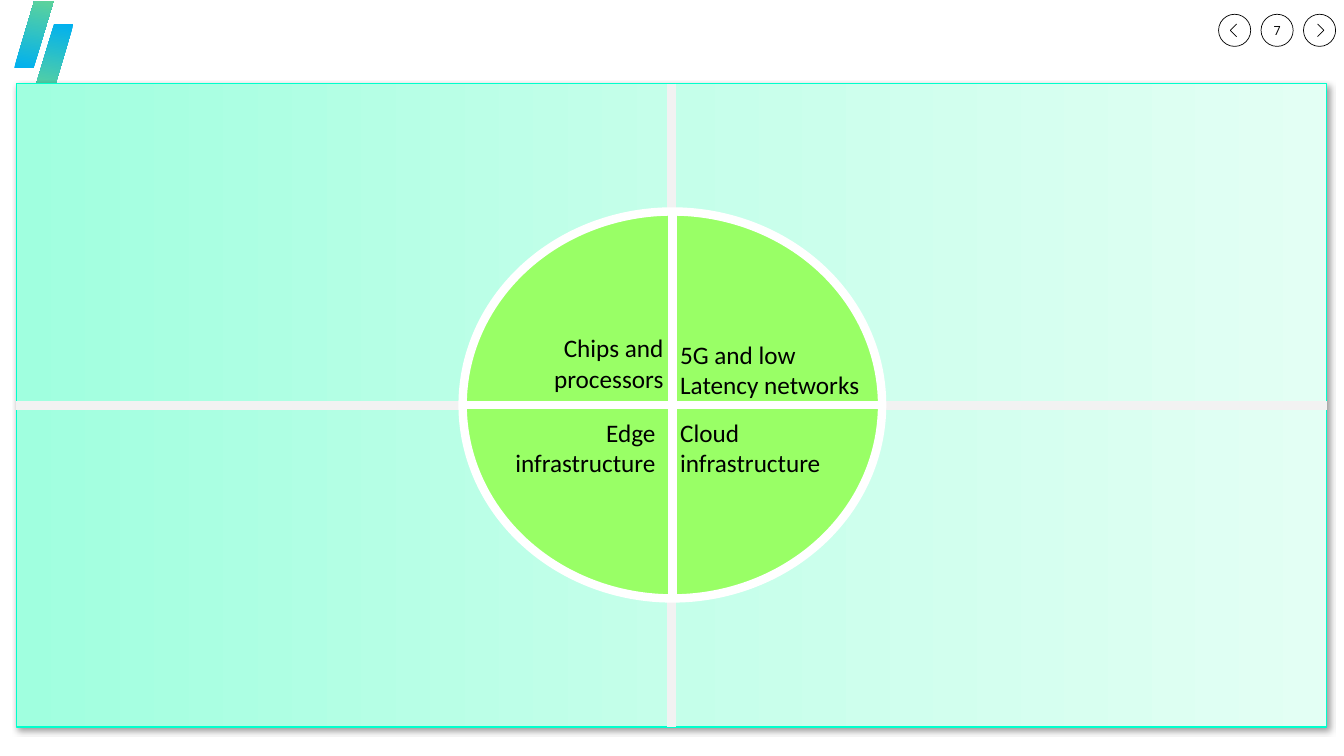
"""Build a slide showing four technology enablers around a quartered disc."""
from dataclasses import dataclass

from lxml import etree
from pptx import Presentation
from pptx.dml.color import RGBColor
from pptx.enum.shapes import MSO_CONNECTOR, MSO_SHAPE
from pptx.enum.text import MSO_ANCHOR, MSO_AUTO_SIZE, PP_ALIGN
from pptx.oxml.ns import qn
from pptx.util import Cm, Pt

PARALLELOGRAM = MSO_SHAPE.PARALLELOGRAM
OVAL = MSO_SHAPE.OVAL
PROCESS = MSO_SHAPE.FLOWCHART_PROCESS
QUARTERED_DISC = MSO_SHAPE.FLOWCHART_OR
STRAIGHT = MSO_CONNECTOR.STRAIGHT
LEFT, CENTER, RIGHT = PP_ALIGN.LEFT, PP_ALIGN.CENTER, PP_ALIGN.RIGHT
MIDDLE = MSO_ANCHOR.MIDDLE
GROW, FIXED = MSO_AUTO_SIZE.SHAPE_TO_FIT_TEXT, MSO_AUTO_SIZE.NONE

COLORS = {
    "black": "000000",
    "white": "FFFFFF",
    "blue": "00B0F0",
    "green": "5DD39B",
    "mint": "A0FFDF",
    "pale_mint": "C5FFEA",
    "faint_mint": "E3FFF4",
    "turquoise": "00FFCC",
    "divider": "F2F2F2",
    "lime": "99FF66",
}

BUTTON_LEFT, BUTTON_TOP, BUTTON_SIZE, BUTTON_PITCH = 30.71, 0.36, 0.81, 1.07


@dataclass(frozen=True)
class Stripe:
    left: float
    top: float
    rotation: int


@dataclass(frozen=True)
class Chevron:
    button: int
    direction: int


@dataclass(frozen=True)
class Label:
    left: float
    top: float
    width: float
    lines: tuple[str, ...]
    align: PP_ALIGN


STRIPES = (Stripe(0.36, 0.03, 0), Stripe(0.86, 0.61, 180))
CHEVRONS = (Chevron(0, -1), Chevron(2, 1))
LABELS = (
    Label(11.89, 8.26, 5.08, ("Chips and processors",), RIGHT),
    Label(12.07, 10.39, 4.7, ("Edge infrastructure",), RIGHT),
    Label(16.89, 8.43, 5.08, ("5G and low", "Latency networks"), LEFT),
    Label(16.89, 10.39, 5.08, ("Cloud infrastructure",), LEFT),
)


def rgb(color: str) -> RGBColor:
    return RGBColor.from_string(COLORS[color])


def set_line(item, color: str, width: float) -> None:
    item.line.color.rgb = rgb(color)
    item.line.width = Pt(width)


def add_preset(slide, preset, left: float, top: float, width: float, height: float):
    shape = slide.shapes.add_shape(preset, Cm(left), Cm(top), Cm(width), Cm(height))
    shape.shadow.inherit = False
    return shape


def set_gradient(shape, colors: tuple[str, ...], angle: float) -> None:
    shape.fill.gradient()
    shape.fill.gradient_angle = angle
    stops = shape.element.spPr.find(qn("a:gradFill")).find(qn("a:gsLst"))
    for stop in list(stops):
        stops.remove(stop)
    for index, color in enumerate(colors):
        position = index * 100000 // (len(colors) - 1)
        stop = etree.SubElement(stops, qn("a:gs"), pos=str(position))
        etree.SubElement(stop, qn("a:srgbClr"), val=COLORS[color])


def add_drop_shadow(shape) -> None:
    effects = shape.element.spPr.find(qn("a:effectLst"))
    shadow = etree.SubElement(
        effects, qn("a:outerShdw"), blurRad=str(Pt(4)), dist=str(Pt(3)),
        dir=str(45 * 60000), algn="tl", rotWithShape="0")
    color = etree.SubElement(shadow, qn("a:srgbClr"), val=COLORS["black"])
    etree.SubElement(color, qn("a:alpha"), val="40000")


def add_run(paragraph, text: str, font: str, size: float) -> None:
    run = paragraph.add_run()
    run.text = text
    run.font.name = font
    run.font.size = Pt(size)
    run.font.color.rgb = rgb("black")


def add_stripe(slide, stripe: Stripe) -> None:
    band = add_preset(slide, PARALLELOGRAM, stripe.left, stripe.top, 0.99, 1.68)
    band.adjustments[0] = 0.508
    band.rotation = stripe.rotation
    set_gradient(band, ("blue", "green"), 80)
    band.line.fill.background()


def add_button(slide, index: int) -> None:
    left = BUTTON_LEFT + index * BUTTON_PITCH
    ring = add_preset(slide, OVAL, left, BUTTON_TOP, BUTTON_SIZE, BUTTON_SIZE)
    ring.fill.background()
    set_line(ring, "black", 0.5)


def add_chevron(slide, chevron: Chevron) -> None:
    center_x = BUTTON_LEFT + chevron.button * BUTTON_PITCH + BUTTON_SIZE / 2
    center_y = BUTTON_TOP + BUTTON_SIZE / 2
    wing_x = Cm(center_x - 0.05 * chevron.direction)
    tip_x = Cm(center_x + 0.11 * chevron.direction)
    outline = slide.shapes.build_freeform(wing_x, Cm(center_y - 0.16))
    outline.add_line_segments(
        [(tip_x, Cm(center_y)), (wing_x, Cm(center_y + 0.16))], close=False)
    arrow = outline.convert_to_shape()
    arrow.shadow.inherit = False
    arrow.fill.background()
    set_line(arrow, "black", 0.5)


def add_page_number(slide) -> None:
    number = slide.shapes.add_textbox(Cm(32.01), Cm(0.36), Cm(0.36), Cm(0.81))
    frame = number.text_frame
    frame.word_wrap = False
    frame.auto_size = FIXED
    frame.vertical_anchor = MIDDLE
    frame.margin_left = frame.margin_right = Cm(0.18)
    frame.margin_top = frame.margin_bottom = Cm(0.08)
    frame.paragraphs[0].alignment = CENTER
    add_run(frame.paragraphs[0], "7", "Open Sans", 9)


def add_panel(slide):
    panel = add_preset(slide, PROCESS, 0.41, 2.11, 33.02, 16.21)
    set_gradient(panel, ("mint", "pale_mint", "faint_mint"), 0)
    set_line(panel, "turquoise", 1)
    add_drop_shadow(panel)
    return panel


def add_divider(slide, panel, start_side: int, end_side: int) -> None:
    divider = slide.shapes.add_connector(STRAIGHT, 0, 0, 0, 0)
    divider.begin_connect(panel, start_side)
    divider.end_connect(panel, end_side)
    set_line(divider, "divider", 6)
    etree.SubElement(divider.element.spPr, qn("a:effectLst"))


def add_disc(slide) -> None:
    disc = add_preset(slide, QUARTERED_DISC, 11.66, 5.33, 10.57, 9.75)
    disc.fill.solid()
    disc.fill.fore_color.rgb = rgb("lime")
    set_line(disc, "white", 6)


def add_label(slide, label: Label) -> None:
    caption = slide.shapes.add_textbox(
        Cm(label.left), Cm(label.top), Cm(label.width), Cm(1.8))
    frame = caption.text_frame
    frame.word_wrap = True
    frame.auto_size = GROW
    for index, line in enumerate(label.lines):
        paragraph = frame.add_paragraph() if index else frame.paragraphs[0]
        paragraph.alignment = label.align
        add_run(paragraph, line, "Calibri", 18)


def main() -> None:
    deck = Presentation()
    deck.slide_width, deck.slide_height = Cm(33.87), Cm(19.05)
    slide = deck.slides.add_slide(deck.slide_layouts[6])
    for stripe in STRIPES:
        add_stripe(slide, stripe)
    for index in range(3):
        add_button(slide, index)
    for chevron in CHEVRONS:
        add_chevron(slide, chevron)
    add_page_number(slide)
    panel = add_panel(slide)
    add_divider(slide, panel, 0, 2)
    add_divider(slide, panel, 1, 3)
    add_disc(slide)
    for label in LABELS:
        add_label(slide, label)
    deck.save("out.pptx")


if __name__ == "__main__":
    main()
